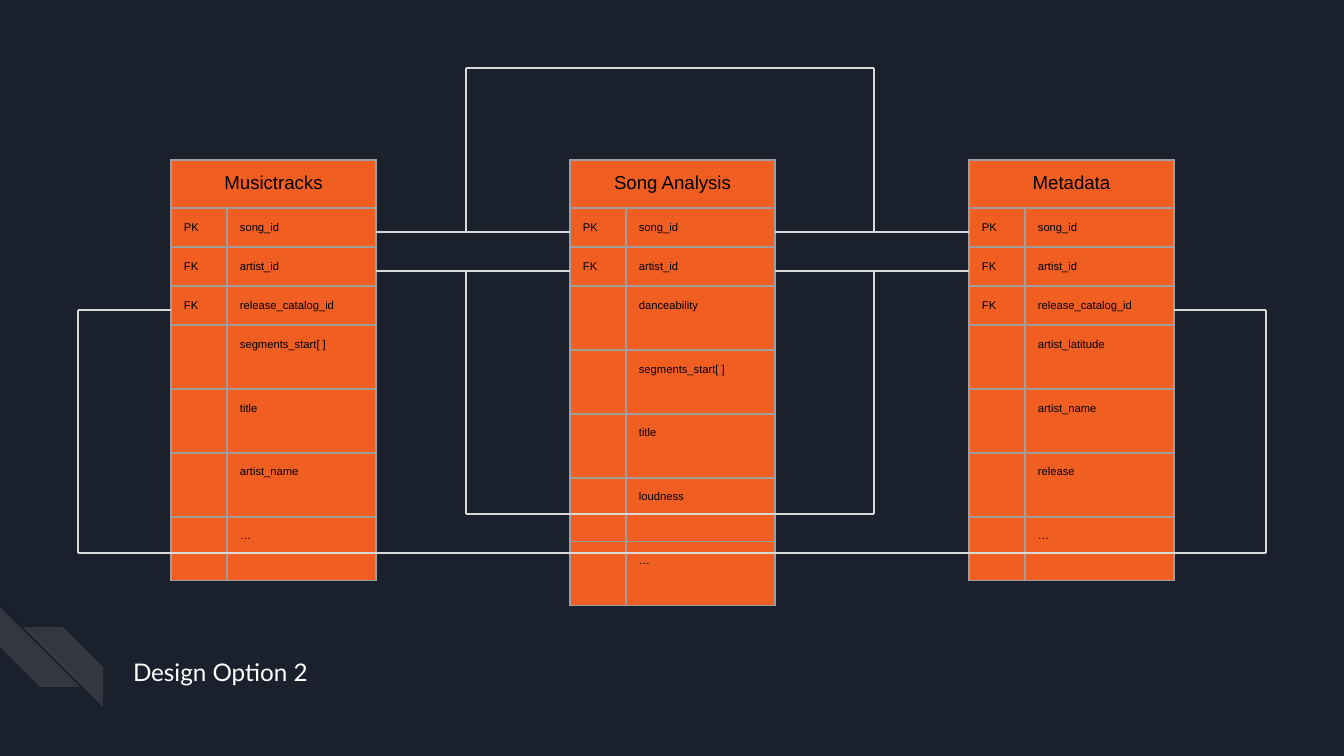
"""Build a slide that shows three linked data tables."""
from lxml.etree import SubElement
from pptx import Presentation
from pptx.dml.color import RGBColor
from pptx.enum.shapes import MSO_CONNECTOR, MSO_SHAPE
from pptx.enum.text import MSO_ANCHOR, PP_ALIGN
from pptx.oxml.ns import qn
from pptx.util import Pt

SCALE = 914400 / 134.4
STRIPE = MSO_SHAPE.DIAGONAL_STRIPE
STRAIGHT = MSO_CONNECTOR.STRAIGHT
MIDDLE = MSO_ANCHOR.MIDDLE
LEFT, CENTER = PP_ALIGN.LEFT, PP_ALIGN.CENTER

NAVY = RGBColor(0x1B, 0x21, 0x2C)
WHITE = RGBColor(0xFF, 0xFF, 0xFF)
BLACK = RGBColor(0x00, 0x00, 0x00)
ORANGE = RGBColor(0xF1, 0x5E, 0x22)
GREY = RGBColor(0x9E, 0x9E, 0x9E)
PALE = RGBColor(0xD9, 0xD9, 0xD9)

PAD = 13
TOP = 160
COLS = (56, 149)
HEAD, KEYED, PLAIN = 48, 39, 64
WIDTH = sum(COLS)
STEP = 399
LEFTS = [171 + STEP * i for i in range(3)]

KEYS = [("PK", "song_id"), ("FK", "artist_id")]
ALBUM = ("FK", "release_catalog_id")
TABLES = [
    ("Musictracks", KEYS + [ALBUM], ["segments_start[ ]", "title", "artist_name", "…"]),
    ("Song Analysis", KEYS, ["danceability", "segments_start[ ]", "title", "loudness", "…"]),
    ("Metadata", KEYS + [ALBUM], ["artist_latitude", "artist_name", "release", "…"]),
]


def px(num):
    """Turn pixels into EMU."""
    return round(num * SCALE)


def style(para, size, font, color, align):
    """Format a paragraph and its runs."""
    para.alignment = align
    for run in para.runs:
        run.font.size = Pt(size)
        run.font.name = font
        run.font.color.rgb = color


def pad(box):
    """Give a cell or text frame equal margins."""
    box.margin_left = box.margin_right = px(PAD)
    box.margin_top = box.margin_bottom = px(PAD)


def add_title(slide, text):
    """Place and format the slide title."""
    title = slide.shapes.title
    title.left, title.top, title.width, title.height = map(px, (120, 633, 1020, 77))
    frame = title.text_frame
    frame.text = text
    frame.word_wrap = True
    frame.vertical_anchor = MIDDLE
    pad(frame)
    style(frame.paragraphs[0], 13, "Lato", WHITE, LEFT)


def add_stripe(slide, left, top, turn=0, flip=False):
    """Add a faint diagonal stripe."""
    shape = slide.shapes.add_shape(STRIPE, px(left), px(top), px(80), px(80))
    shape.shadow.inherit = False
    shape.adjustments[0] = 0.5
    shape.rotation = turn
    if flip:
        shape._element.spPr.xfrm.set("flipH", "1")
    shape.fill.solid()
    shape.fill.fore_color.rgb = WHITE
    color = shape._element.spPr.find(qn("a:solidFill"))[0]
    SubElement(color, qn("a:alpha"), val="10000")
    shape.line.fill.background()


def add_edges(cell):
    """Draw the four borders of a cell."""
    props = cell._tc.get_or_add_tcPr()
    for side in "LRTB":
        edge = SubElement(props, qn(f"a:ln{side}"), w=str(Pt(0.75)))
        fill = SubElement(edge, qn("a:solidFill"))
        SubElement(fill, qn("a:srgbClr"), val=str(GREY))


def fill_cell(cell, text, size=6, align=LEFT):
    """Write and format one table cell."""
    add_edges(cell)
    cell.fill.solid()
    cell.fill.fore_color.rgb = ORANGE
    pad(cell)
    para = cell.text_frame.paragraphs[0]
    para.text = text
    style(para, size, "Arial", BLACK, align)
    if not text:
        SubElement(para._p, qn("a:endParaRPr"), sz="600")


def add_entity(slide, left, name, keyed, plain):
    """Add one table with a merged header and its fields."""
    rows = keyed + [("", field) for field in plain]
    tall = [HEAD] + [KEYED] * len(keyed) + [PLAIN] * len(plain)
    frame = slide.shapes.add_table(
        len(tall), len(COLS), px(left), px(TOP), px(WIDTH), px(sum(tall)))
    table = frame.table
    table.first_row = table.horz_banding = False
    for col, wide in zip(table.columns, COLS):
        col.width = px(wide)
    for row, high in zip(table.rows, tall):
        row.height = px(high)
    for r, row in enumerate([(name, "")] + rows):
        for c, text in enumerate(row):
            fill_cell(table.cell(r, c), text, *(() if r else (10, CENTER)))
    table.cell(0, 0).merge(table.cell(0, 1))


def add_route(slide, *points):
    """Join the points with straight lines."""
    for start, end in zip(points, points[1:]):
        line = slide.shapes.add_connector(STRAIGHT, *map(px, start + end))
        line.line.color.rgb = PALE
        line.line.width = Pt(0.75)
        SubElement(line._element.spPr, qn("a:effectLst"))


def add_routes(slide):
    """Add the links between the tables."""
    song, artist, album = 232, 271, 310
    for left, right in zip(LEFTS, LEFTS[1:]):
        for y in (song, artist):
            add_route(slide, (left + WIDTH, y), (right, y))
    west, east = 466, 874
    for y, far in ((song, 68), (artist, 514)):
        add_route(slide, (west, y), (west, far), (east, far), (east, y))
    west, east, low = 78, 1266, 553
    add_route(slide, (LEFTS[0], album), (west, album), (west, low),
              (east, low), (east, album), (LEFTS[-1] + WIDTH, album))


def main():
    """Build and save the slide."""
    deck = Presentation()
    deck.slide_width, deck.slide_height = px(1344), px(756)
    slide = deck.slides.add_slide(deck.slide_layouts[5])
    slide.background.fill.solid()
    slide.background.fill.fore_color.rgb = NAVY
    add_stripe(slide, 0, 607, turn=270)
    add_stripe(slide, 23, 627, flip=True)
    add_title(slide, "Design Option 2")
    for left, entity in zip(LEFTS, TABLES):
        add_entity(slide, left, *entity)
    add_routes(slide)
    deck.save("out.pptx")


if __name__ == "__main__":
    main()
